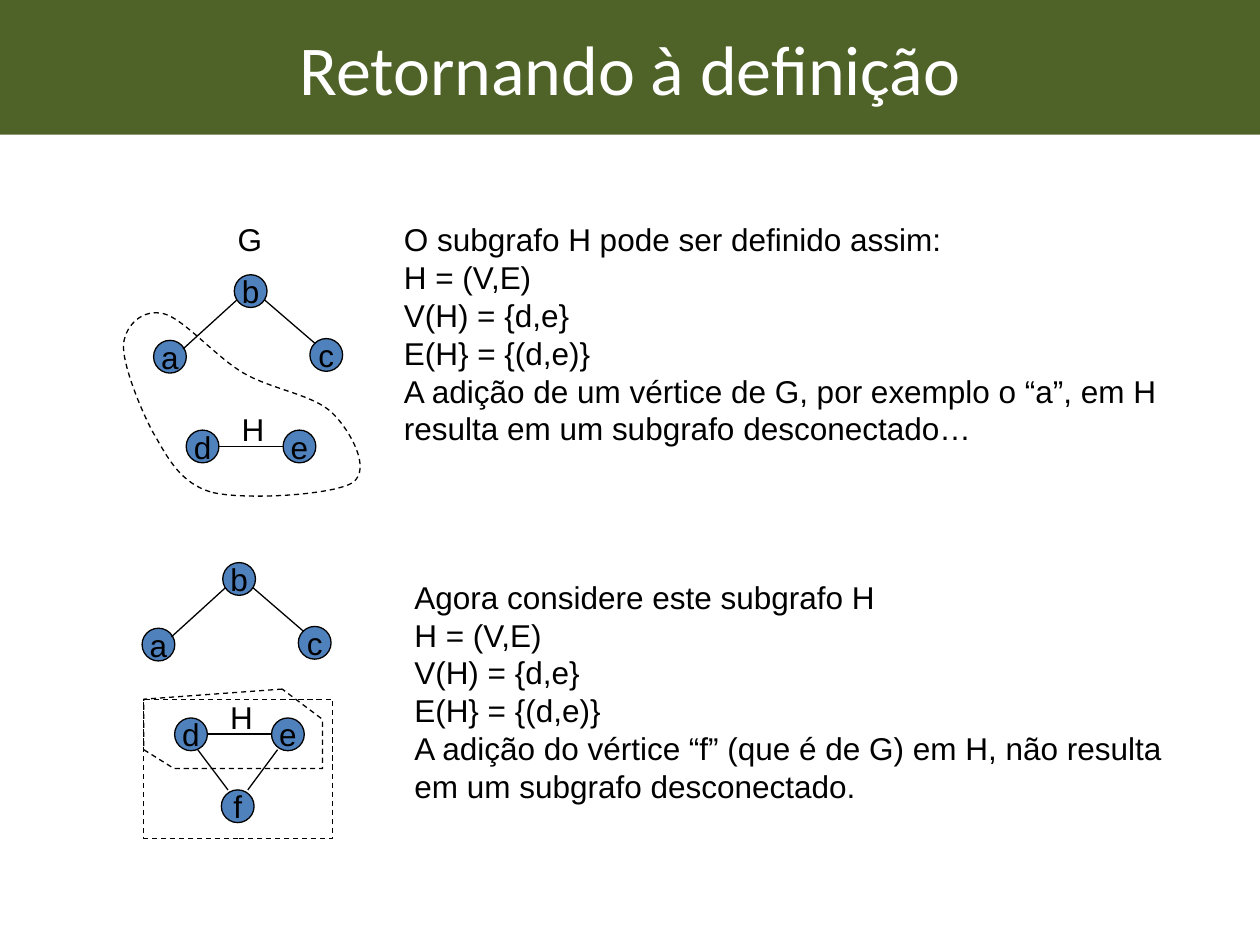
from dataclasses import dataclass
from typing import NamedTuple

from lxml.etree import SubElement
from pptx import Presentation
from pptx.dml.color import RGBColor
from pptx.enum.dml import MSO_LINE_DASH_STYLE as Dash
from pptx.enum.shapes import MSO_CONNECTOR as Connector, MSO_SHAPE as Preset
from pptx.enum.text import MSO_ANCHOR as Anchor, MSO_AUTO_SIZE as AutoSize, PP_ALIGN as Align
from pptx.oxml.ns import qn
from pptx.shapes.base import BaseShape
from pptx.shapes.shapetree import GroupShapes, SlideShapes
from pptx.text.text import TextFrame
from pptx.util import Pt


@dataclass(frozen=True)
class Theme:
    banner: RGBColor = RGBColor(0x4F, 0x62, 0x28)
    vertex: RGBColor = RGBColor(0x4F, 0x81, 0xBD)
    ink: RGBColor = RGBColor(0, 0, 0)
    paper: RGBColor = RGBColor(255, 255, 255)
    title_font: str = "Calibri"
    body_font: str = "Arial"
    title_size: float = 40
    body_size: float = 18
    stroke: float = 0.74


class Point(NamedTuple):
    x: float
    y: float

    def moved(self, by: "Point") -> "Point":
        return Point(self.x + by.x, self.y + by.y)


class Vertex(NamedTuple):
    name: str
    corner: Point


class Edge(NamedTuple):
    start: Point
    end: Point


class Passage(NamedTuple):
    corner: Point
    width: float
    height: float
    lines: tuple[str, ...]
    wrap: bool = True


Shapes = SlideShapes | GroupShapes
THEME = Theme()
DIAMETER = 18.7
ORIGIN = Point(0, 0)
SECOND_GRAPH = Point(-6.6, 164.5)

VERTICES = (
    Vertex("b", Point(133.9, 157)),
    Vertex("a", Point(87.8, 194.5)),
    Vertex("c", Point(177.1, 193.5)),
    Vertex("e", Point(161.8, 245.8)),
    Vertex("d", Point(106.4, 245.8)),
)
EDGES = (
    Edge(Point(135.4, 171.4), Point(104.6, 199.4)),
    Edge(Point(151.2, 171.4), Point(180.2, 196.4)),
    Edge(Point(124.8, 255), Point(161.8, 255)),
)
F_VERTEX = Vertex("f", Point(126.5, 451.4))
F_EDGES = (
    Edge(Point(113, 428.4), Point(130.3, 451.4)),
    Edge(Point(141.6, 451.4), Point(158.6, 428.4)),
)
DEFINITION = ("H = (V,E)", "V(H) = {d,e}", "E(H} = {(d,e)}")
H_CORNER = Point(131, 230.6)
FIRST_PASSAGES = (
    Passage(Point(223.7, 122.4), 453.6, 158.4, (
        "O subgrafo H pode ser definido assim:", *DEFINITION,
        "A adição de um vértice de G, por exemplo o “a”, em H resulta em um subgrafo desconectado…")),
    Passage(Point(128.7, 122.4), 28, 28.8, ("G",), False),
    Passage(H_CORNER, 27.4, 28.8, ("H",), False),
)
SECOND_PASSAGES = (
    Passage(H_CORNER.moved(SECOND_GRAPH), 27.4, 28.8, ("H",), False),
    Passage(Point(229.7, 326.6), 442.1, 136.8, (
        "Agora considere este subgrafo H", *DEFINITION,
        "A adição do vértice “f” (que é de G) em H, não resulta em um subgrafo desconectado.")),
)
CURVE = (
    (121.7, 281.5),
    (140.4, 285.8), (190.1, 283), (201.6, 275.8),
    (212.4, 267.8), (200.2, 246.2), (190.1, 236.2),
    (179.3, 225.4), (154.8, 222.5), (139, 213.1),
    (123.1, 203.8), (105.1, 182.2), (93.6, 179.3),
    (82.1, 176.4), (72, 185), (70.6, 196.6),
    (69.8, 207.4), (79.9, 233.3), (87.8, 247.7),
    (95.8, 261.4), (103, 276.5), (121.7, 281.5),
)
POLYGON = [Point(161.3, 393.8), Point(82.1, 399.6), Point(82.1, 428.4),
           Point(99.4, 439.2), Point(184.3, 439.2), Point(184.3, 411.1)]


def write(frame: TextFrame, lines: tuple[str, ...], font: str, size: float,
          color: RGBColor, align: Align) -> None:
    frame.text = "\n".join(lines)
    for paragraph in frame.paragraphs:
        paragraph.alignment = align
        for run in paragraph.runs:
            run.font.name = font
            run.font.size = Pt(size)
            run.font.color.rgb = color


def outline(shape: BaseShape, dashed: bool = False) -> None:
    shape.shadow.inherit = False
    shape.line.color.rgb = THEME.ink
    shape.line.width = Pt(THEME.stroke)
    if dashed:
        shape.fill.background()
        shape.line.dash_style = Dash.DASH


def draw_vertex(shapes: Shapes, vertex: Vertex, shift: Point = ORIGIN) -> None:
    x, y = vertex.corner.moved(shift)
    disc = shapes.add_shape(Preset.OVAL, Pt(x), Pt(y), Pt(DIAMETER), Pt(DIAMETER))
    outline(disc)
    disc.fill.solid()
    disc.fill.fore_color.rgb = THEME.vertex
    disc.text_frame.word_wrap = False
    disc.text_frame.vertical_anchor = Anchor.MIDDLE
    write(disc.text_frame, (vertex.name,), THEME.body_font, THEME.body_size, THEME.ink, Align.CENTER)


def draw_edge(shapes: Shapes, edge: Edge, shift: Point = ORIGIN) -> None:
    start, end = edge.start.moved(shift), edge.end.moved(shift)
    link = shapes.add_connector(Connector.STRAIGHT, Pt(start.x), Pt(start.y), Pt(end.x), Pt(end.y))
    link.line.color.rgb = THEME.ink
    link.line.width = Pt(THEME.stroke)
    SubElement(link._element.spPr, qn("a:effectLst"))


def draw_graph(shapes: Shapes, shift: Point = ORIGIN) -> None:
    for vertex in VERTICES:
        draw_vertex(shapes, vertex, shift)
    for edge in EDGES:
        draw_edge(shapes, edge, shift)


def draw_passage(shapes: Shapes, passage: Passage) -> None:
    box = shapes.add_textbox(Pt(passage.corner.x), Pt(passage.corner.y),
                             Pt(passage.width), Pt(passage.height))
    box.text_frame.word_wrap = passage.wrap
    box.text_frame.auto_size = AutoSize.SHAPE_TO_FIT_TEXT
    write(box.text_frame, passage.lines, THEME.body_font, THEME.body_size, THEME.ink, Align.LEFT)


def bezier_points(knots: tuple[tuple[float, float], ...], steps: int = 16) -> list[Point]:
    points = [Point(*knots[0])]
    for first in range(0, len(knots) - 1, 3):
        controls = knots[first:first + 4]
        for step in range(1, steps + 1):
            t = step / steps
            weights = ((1 - t) ** 3, 3 * t * (1 - t) ** 2, 3 * t * t * (1 - t), t ** 3)
            points.append(Point(*(sum(w * c[axis] for w, c in zip(weights, controls))
                                  for axis in (0, 1))))
    return points


def draw_boundary(shapes: Shapes, points: list[Point]) -> None:
    builder = shapes.build_freeform(Pt(points[0].x), Pt(points[0].y))
    builder.add_line_segments([(Pt(p.x), Pt(p.y)) for p in points[1:]], close=True)
    outline(builder.convert_to_shape(), dashed=True)


deck = Presentation()
deck.slide_width, deck.slide_height = Pt(720), Pt(540)
slide = deck.slides.add_slide(deck.slide_layouts[5])
canvas = slide.shapes

heading = canvas.title
heading.left, heading.top, heading.width, heading.height = Pt(0), Pt(0), Pt(720), Pt(77)
heading.fill.solid()
heading.fill.fore_color.rgb = THEME.banner
heading.text_frame.vertical_anchor = Anchor.MIDDLE
write(heading.text_frame, ("Retornando à definição",), THEME.title_font, THEME.title_size,
      THEME.paper, Align.CENTER)

draw_graph(canvas)
for passage in FIRST_PASSAGES:
    draw_passage(canvas, passage)
draw_graph(canvas.add_group_shape().shapes, SECOND_GRAPH)
draw_vertex(canvas, F_VERTEX)
for edge in F_EDGES:
    draw_edge(canvas, edge)
for passage in SECOND_PASSAGES:
    draw_passage(canvas, passage)
draw_boundary(canvas, bezier_points(CURVE))
draw_boundary(canvas, POLYGON)
enclosure = canvas.add_shape(Preset.RECTANGLE, Pt(82.1), Pt(399.6), Pt(108), Pt(79.4))
outline(enclosure, dashed=True)

deck.save("out.pptx")
